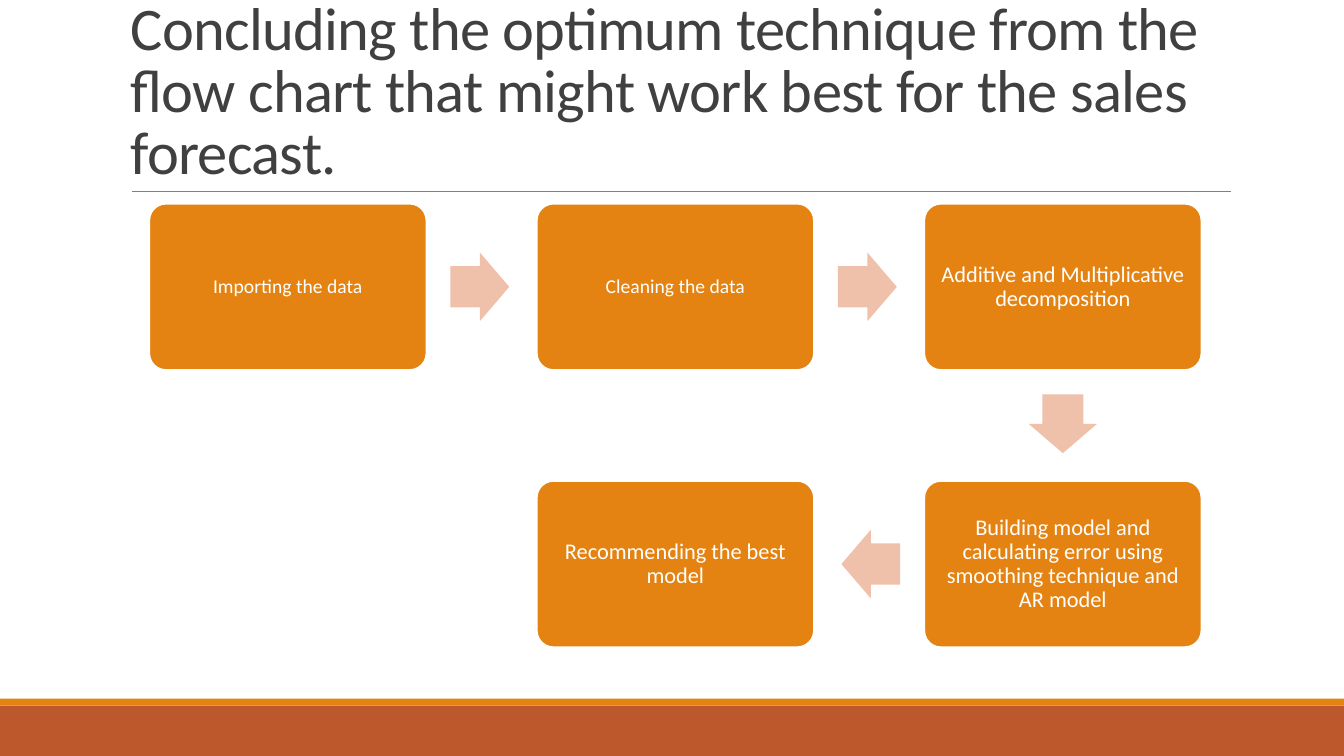
"""Builds a slide with a five-step sales forecast flow chart."""
from math import atan2, cos, degrees, sin

from lxml import etree
from pptx import Presentation
from pptx.dml.color import RGBColor
from pptx.enum import shapes, text
from pptx.oxml.ns import qn
from pptx.util import Pt

TITLE = ("Concluding the optimum technique from the flow chart "
         "that might work best for the sales forecast.")
STEPS = [
    ("Importing the data", 0, 0, 14),
    ("Cleaning the data", 1, 0, 14),
    ("Additive and Multiplicative decomposition", 2, 0, 16),
    ("Building model and calculating error using smoothing technique and AR model", 2, 1, 16),
    ("Recommending the best model", 1, 1, 16),
]
BANDS = [("BD582C", 504, 36), ("E48312", 499, 5)]
ORANGE, PEACH, GREY, DARK, WHITE = "E48312", "EFC1AB", "808080", "404040", "FFFFFF"
SLIDE_W, SLIDE_H = 960, 540
GRID_LEFT, GRID_TOP = 106.6, 145.5
COLUMN_STEP, ROW_STEP = 276.8, 198
BOX_W, BOX_H = 198, 118.8
ARROW_W, ARROW_H, ARROW_SETBACK = 42, 49, 1.2


def color(hex_code):
    return RGBColor.from_string(hex_code)


def add_block(preset, left, top, width, height, fill, outline=None):
    block = slide.shapes.add_shape(preset, Pt(left), Pt(top), Pt(width), Pt(height))
    block.shadow.inherit = False
    block.fill.solid()
    block.fill.fore_color.rgb = color(fill)
    if outline:
        block.line.color.rgb = color(outline)
        block.line.width = Pt(1.25)
    else:
        block.line.fill.background()
    return block


def write(holder, words, size, ink, align, anchor, leading, inset, tracking=0):
    frame = holder.text_frame
    frame.word_wrap = True
    frame.vertical_anchor = anchor
    frame.margin_left = frame.margin_right = Pt(inset[0])
    frame.margin_top = frame.margin_bottom = Pt(inset[1])
    paragraph = frame.paragraphs[0]
    paragraph.alignment = align
    paragraph.line_spacing = leading
    run = paragraph.add_run()
    run.text = words
    run.font.name = "Calibri"
    run.font.size = Pt(size)
    run.font.color.rgb = color(ink)
    if tracking:
        run.font._element.set("spc", str(int(tracking * 100)))


def box_center(column, row):
    return (GRID_LEFT + column * COLUMN_STEP + BOX_W / 2,
            GRID_TOP + row * ROW_STEP + BOX_H / 2)


deck = Presentation()
deck.slide_width, deck.slide_height = Pt(SLIDE_W), Pt(SLIDE_H)
slide = deck.slides.add_slide(deck.slide_layouts[6])

for fill, top, height in BANDS:
    add_block(shapes.MSO_SHAPE.RECTANGLE, 0, top, SLIDE_W, height, fill)

rule = slide.shapes.add_connector(shapes.MSO_CONNECTOR.STRAIGHT,
                                  Pt(94.3), Pt(136.8), Pt(879), Pt(136.8))
rule.line.color.rgb = color(GREY)
rule.line.width = Pt(0.5)
etree.SubElement(rule._element.spPr, qn("a:effectLst"))

heading = slide.shapes.add_textbox(Pt(86.4), Pt(22.3), Pt(792), Pt(114.5))
write(heading, TITLE, 43.2, DARK, text.PP_ALIGN.LEFT, text.MSO_ANCHOR.BOTTOM,
      0.85, (7.2, 3.6), tracking=-0.5)

for words, column, row, size in STEPS:
    x, y = box_center(column, row)
    box = add_block(shapes.MSO_SHAPE.ROUNDED_RECTANGLE, x - BOX_W / 2, y - BOX_H / 2,
                    BOX_W, BOX_H, ORANGE, outline=WHITE)
    box.adjustments[0] = 0.1
    write(box, words, size, WHITE, text.PP_ALIGN.CENTER, text.MSO_ANCHOR.MIDDLE,
          0.9, (4.8, 4.8))

for (_, *start, _), (_, *end, _) in zip(STEPS, STEPS[1:]):
    (x1, y1), (x2, y2) = box_center(*start), box_center(*end)
    angle = atan2(y2 - y1, x2 - x1)
    x = (x1 + x2) / 2 - ARROW_SETBACK * cos(angle)
    y = (y1 + y2) / 2 - ARROW_SETBACK * sin(angle)
    arrow = add_block(shapes.MSO_SHAPE.RIGHT_ARROW, x - ARROW_W / 2, y - ARROW_H / 2,
                      ARROW_W, ARROW_H, PEACH)
    arrow.adjustments[0], arrow.adjustments[1] = 0.6, 0.5
    arrow.rotation = degrees(angle)

deck.save("out.pptx")
